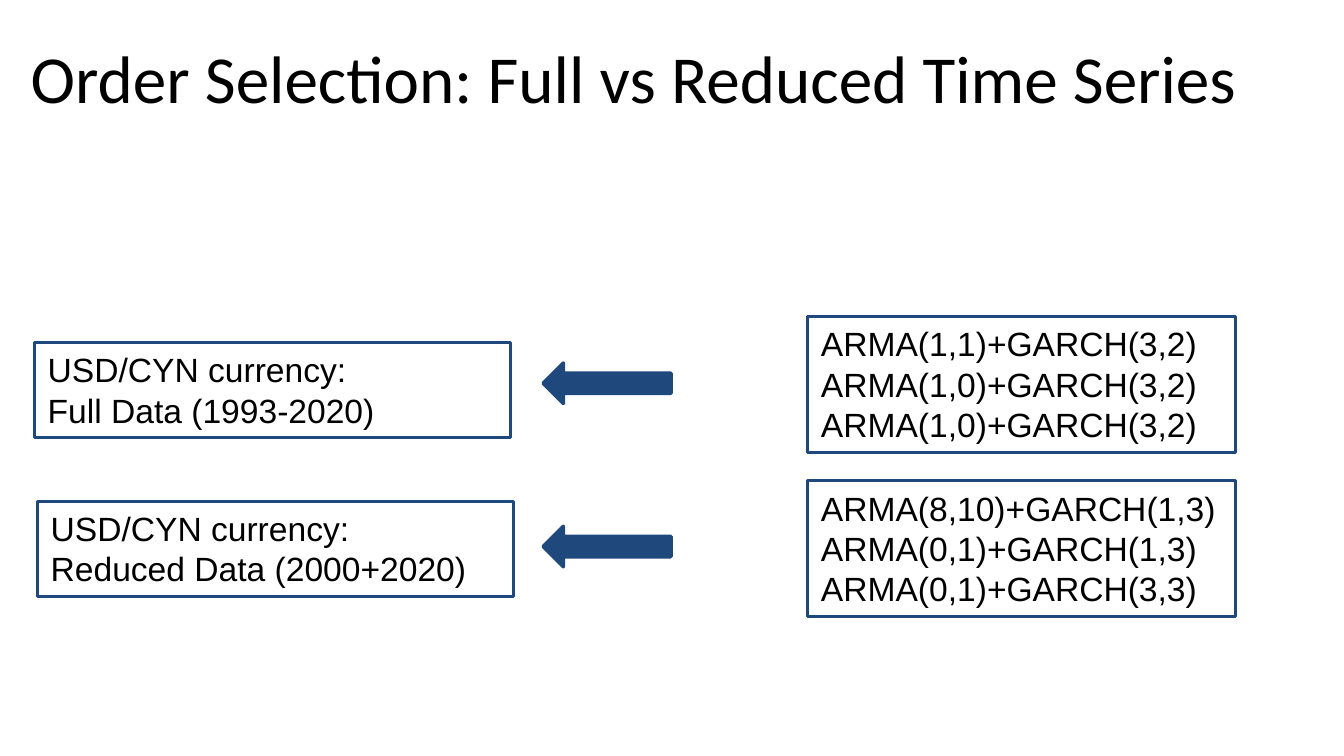
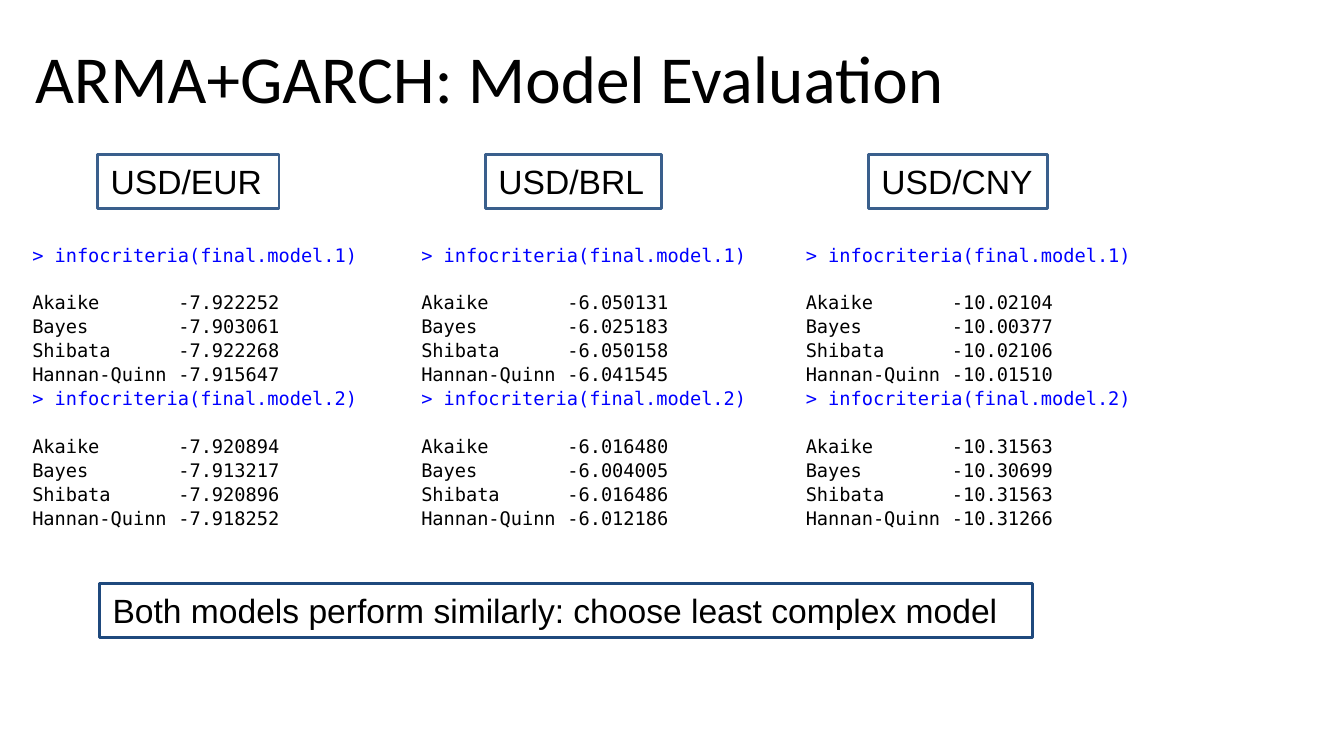
from lxml import etree
from pptx import Presentation
from pptx.dml.color import RGBColor
from pptx.enum.shapes import MSO_SHAPE as SHAPE
from pptx.enum.text import MSO_ANCHOR as ANCHOR, MSO_AUTO_SIZE as AUTO_SIZE
from pptx.oxml.ns import qn
from pptx.util import Pt

BLACK = RGBColor(0x00, 0x00, 0x00)
NAVY = RGBColor(0x1F, 0x49, 0x7D)
STEEL = RGBColor(0x3A, 0x5F, 0x8C)
CODE_BLUE = RGBColor(0x00, 0x00, 0xFF)

TITLE = {"name": "Calibri", "size": Pt(36)}
BODY = {"name": "Arial", "size": Pt(18)}
CODE = {"name": "DejaVu Sans Mono", "size": Pt(10)}
VALUE_TAB = Pt(78.3)

CRITERIA = ["Akaike", "Bayes", "Shibata", "Hannan-Quinn"]


def add_text(slide, bounds, lines, style, border=None):
    """Add a text box with one paragraph per line, framed if a border colour is given."""
    box = slide.shapes.add_textbox(*[Pt(length) for length in bounds])
    frame = box.text_frame
    frame.word_wrap = True
    frame.text = "\n".join(lines)
    for paragraph in frame.paragraphs:
        font = paragraph.runs[0].font
        font.color.rgb = BLACK
        for attribute, value in style.items():
            setattr(font, attribute, value)
    if border is not None:
        frame.auto_size = AUTO_SIZE.SHAPE_TO_FIT_TEXT
        box.line.color.rgb = border
        box.line.width = Pt(1.5)
    return frame


def add_titled_slide(title, left, width):
    slide = deck.slides.add_slide(deck.slide_layouts[6])
    frame = add_text(slide, (left, 16.5, width, 49), [title], TITLE)
    frame.vertical_anchor = ANCHOR.MIDDLE
    return slide


deck = Presentation()
deck.slide_width, deck.slide_height = Pt(720), Pt(405)

# Order selection: data on the left, chosen orders on the right
selection = add_titled_slide("Order Selection: Full vs Reduced Time Series", 9.4, 698.4)
SERIES = [
    (18.5, 183.5, "Full Data (1993-2020)", 194.5, 169.7,
     ["ARMA(1,1)+GARCH(3,2)", "ARMA(1,0)+GARCH(3,2)", "ARMA(1,0)+GARCH(3,2)"]),
    (20.1, 268.5, "Reduced Data (2000+2020)", 282, 257.6,
     ["ARMA(8,10)+GARCH(1,3)", "ARMA(0,1)+GARCH(1,3)", "ARMA(0,1)+GARCH(3,3)"]),
]
for data_left, data_top, period, arrow_top, orders_top, orders in SERIES:
    add_text(selection, (data_left, data_top, 255, 51),
             ["USD/CYN currency:", period], BODY, NAVY)
    add_text(selection, (432.7, orders_top, 229, 72.7), orders, BODY, NAVY)
    arrow = selection.shapes.add_shape(
        SHAPE.RIGHT_ARROW, Pt(291), Pt(arrow_top), Pt(68.4), Pt(21.6))
    arrow.rotation = 180
    arrow.shadow.inherit = False
    arrow.fill.solid()
    arrow.fill.fore_color.rgb = NAVY
    arrow.line.color.rgb = NAVY
    arrow.line.width = Pt(2)

# Model evaluation: one column per currency pair, two models in each
evaluation = add_titled_slide("ARMA+GARCH: Model Evaluation", 11.7, 674)
PAIRS = [
    ("USD/EUR", 52.2, 97.3, 10.2,
     [["-7.922252", "-7.903061", "-7.922268", "-7.915647"],
      ["-7.920894", "-7.913217", "-7.920896", "-7.918252"]]),
    ("USD/BRL", 260, 94.5, 218.6,
     [["-6.050131", "-6.025183", "-6.050158", "-6.041545"],
      ["-6.016480", "-6.004005", "-6.016486", "-6.012186"]]),
    ("USD/CNY", 465.1, 96, 424.6,
     [["-10.02104", "-10.00377", "-10.02106", "-10.01510"],
      ["-10.31563", "-10.30699", "-10.31563", "-10.31266"]]),
]
for pair, label_left, label_width, output_left, models in PAIRS:
    add_text(evaluation, (label_left, 82.6, label_width, 29), [pair], BODY, STEEL)
    output = []
    for number, values in enumerate(models, start=1):
        output.append(f"> infocriteria(final.model.{number})")
        output += [f"{name}\t{value}" for name, value in zip(CRITERIA, values)]
    frame = add_text(evaluation, (output_left, 126, 212.4, 162), output, CODE)
    for paragraph in frame.paragraphs:
        paragraph.line_spacing = 1.07
        if paragraph.text.startswith(">"):
            paragraph.runs[0].font.color.rgb = CODE_BLUE
            continue
        if paragraph.text.startswith(CRITERIA[0]):
            paragraph.space_before = Pt(12.8)
        tabs = etree.SubElement(paragraph._p.get_or_add_pPr(), qn("a:tabLst"))
        etree.SubElement(tabs, qn("a:tab"), pos=str(int(VALUE_TAB)), algn="l")

add_text(evaluation, (53.2, 312.5, 500, 29),
         ["Both models perform similarly: choose least complex model"], BODY, NAVY)

deck.save("out.pptx")
